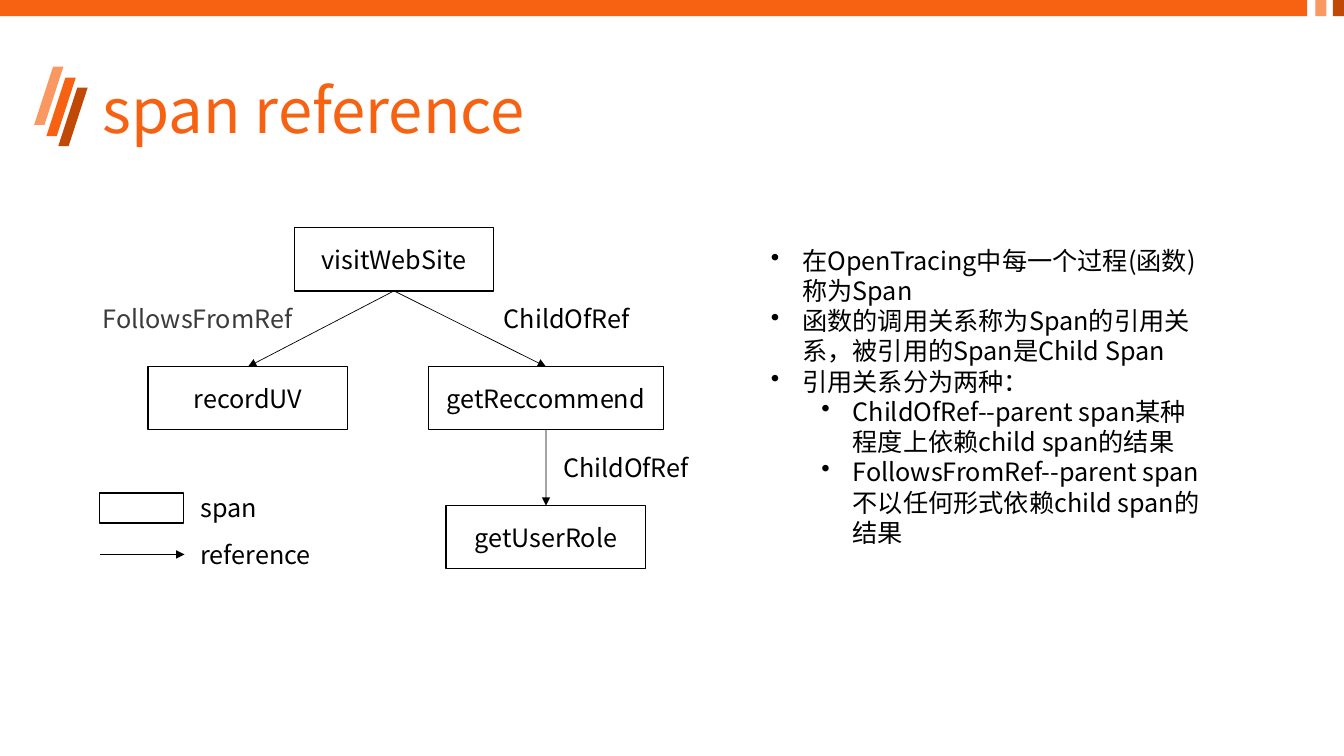
from lxml import etree
from pptx import Presentation
from pptx import util as u
from pptx.dml.color import RGBColor
from pptx.enum import shapes, text
from pptx.oxml.ns import qn

Cm, Pt = u.Cm, u.Pt
FONT = "Noto Sans CJK SC"
COLORS = {"orange": "F76212", "light": "FA9862", "dark": "C14907",
          "black": "000000", "white": "FFFFFF", "gray": "3B3B3B"}

prs = Presentation()
prs.slide_width, prs.slide_height = Cm(33.87), Cm(19.05)
s = prs.slides.add_slide(prs.slide_layouts[6])


def write(p, words, size=18, color="black", align=None, spacing=None, indent=None):
    """Fill a paragraph; an indent in cm makes it a bullet."""
    if indent is not None:
        pPr = p._p.get_or_add_pPr()
        pPr.set("marL", str(Cm(indent)))
        pPr.set("indent", str(-Cm(0.79)))
        etree.SubElement(pPr, qn("a:buChar")).set("char", "•")
    p.alignment = align
    p.line_spacing = spacing
    r = p.add_run()
    r.text = words
    r.font.size = Pt(size)
    r.font.name = FONT
    r.font.color.rgb = RGBColor.from_string(COLORS[color])
    etree.SubElement(r._r.get_or_add_rPr(), qn("a:ea")).set("typeface", FONT)


def shape(kind, x, y, w, h, fill, outlined=False):
    sp = s.shapes.add_shape(kind, Cm(x), Cm(y), Cm(w), Cm(h))
    sp.shadow.inherit = False
    sp.fill.solid()
    sp.fill.fore_color.rgb = RGBColor.from_string(COLORS[fill])
    if outlined:
        sp.line.color.rgb = RGBColor.from_string(COLORS["black"])
        sp.line.width = Pt(1)
    else:
        sp.line.fill.background()
    return sp


RECT = shapes.MSO_SHAPE.RECTANGLE

# Slanted title marks
for x, y, fill in [(1.17, 1.96, "orange"), (0.86, 1.68, "light"), (1.47, 2.21, "dark")]:
    sp = shape(shapes.MSO_SHAPE.PARALLELOGRAM, x, y, 0.74, 1.47, fill)
    sp.adjustments[0] = 0.646

# Top band
for x, w, fill in [(0, 32.94, "orange"), (33.15, 0.28, "light"), (33.59, 0.28, "dark")]:
    shape(RECT, x, 0, w, 0.41, fill)

# Title
tf = s.shapes.add_textbox(Cm(2.34), Cm(1.02), Cm(29.21), Cm(3.68)).text_frame
tf.word_wrap = True
tf.vertical_anchor = text.MSO_ANCHOR.MIDDLE
write(tf.paragraphs[0], "span reference", size=44, color="orange", spacing=0.9)

# Explanation bullets
bullets = [
    (0, "在OpenTracing中每一个过程(函数)称为Span"),
    (0, "函数的调用关系称为Span的引用关系，被引用的Span是Child Span"),
    (0, "引用关系分为两种："),
    (1, "ChildOfRef--parent span某种程度上依赖child span的结果"),
    (1, "FollowsFromRef--parent span不以任何形式依赖child span的结果"),
]
tf = s.shapes.add_textbox(Cm(19.18), Cm(6.05), Cm(11.53), Cm(7.95)).text_frame
tf.word_wrap = True
for i, (level, words) in enumerate(bullets):
    p = tf.add_paragraph() if i else tf.paragraphs[0]
    p.level = level
    write(p, words, indent=0.79 + 1.27 * level)

# Span boxes: name, centre, row, width
spans = {}
for name, center, row, w in [("visitWebSite", 9.93, 0, 5.03), ("recordUV", 6.25, 1, 5.03),
                             ("getReccommend", 13.76, 1, 5.92), ("getUserRole", 13.76, 2, 5.03)]:
    sp = shape(RECT, center - w / 2, 5.74 + 3.5 * row, w, 1.59, "white", outlined=True)
    sp.text_frame.vertical_anchor = text.MSO_ANCHOR.MIDDLE
    write(sp.text_frame.paragraphs[0], name, align=text.PP_ALIGN.CENTER)
    spans[name] = sp

# Legend box
shape(RECT, 2.51, 12.42, 2.11, 0.76, "white", outlined=True)

# Reference arrows, the last one for the legend
for start, end in [("visitWebSite", "recordUV"), ("visitWebSite", "getReccommend"),
                   ("getReccommend", "getUserRole"), (None, None)]:
    c = s.shapes.add_connector(shapes.MSO_CONNECTOR.STRAIGHT,
                               Cm(2.51), Cm(13.97), Cm(4.65), Cm(13.97))
    if start:
        c.begin_connect(spans[start], 2)
        c.end_connect(spans[end], 0)
    c.line.color.rgb = RGBColor.from_string(COLORS["black"])
    c.line.width = Pt(0.5)
    etree.SubElement(c.line._get_or_add_ln(), qn("a:tailEnd")).set("type", "triangle")
    etree.SubElement(c._element.spPr, qn("a:effectLst"))

# Arrow and legend labels
for words, x, y, w, color in [("ChildOfRef", 13.94, 11.28, 3.78, "black"),
                              ("ChildOfRef", 12.45, 7.52, 3.78, "black"),
                              ("FollowsFromRef", 2.34, 7.52, 5.41, "gray"),
                              ("span", 4.8, 12.29, 1.93, "black"),
                              ("reference", 4.8, 13.46, 3.3, "black")]:
    tf = s.shapes.add_textbox(Cm(x), Cm(y), Cm(w), Cm(1.02)).text_frame
    tf.word_wrap = words.endswith("Ref")
    write(tf.paragraphs[0], words, color=color)

prs.save("out.pptx")
